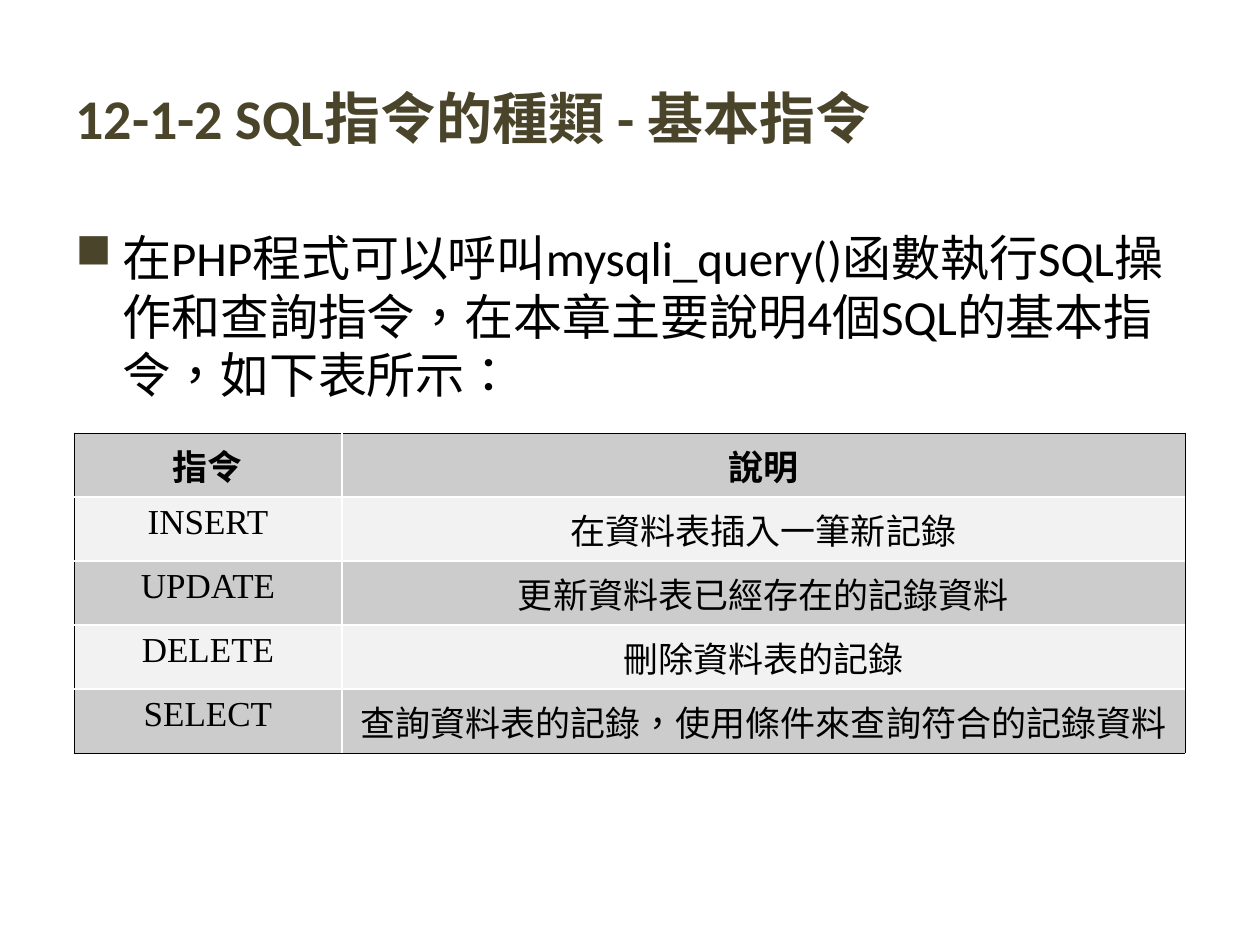
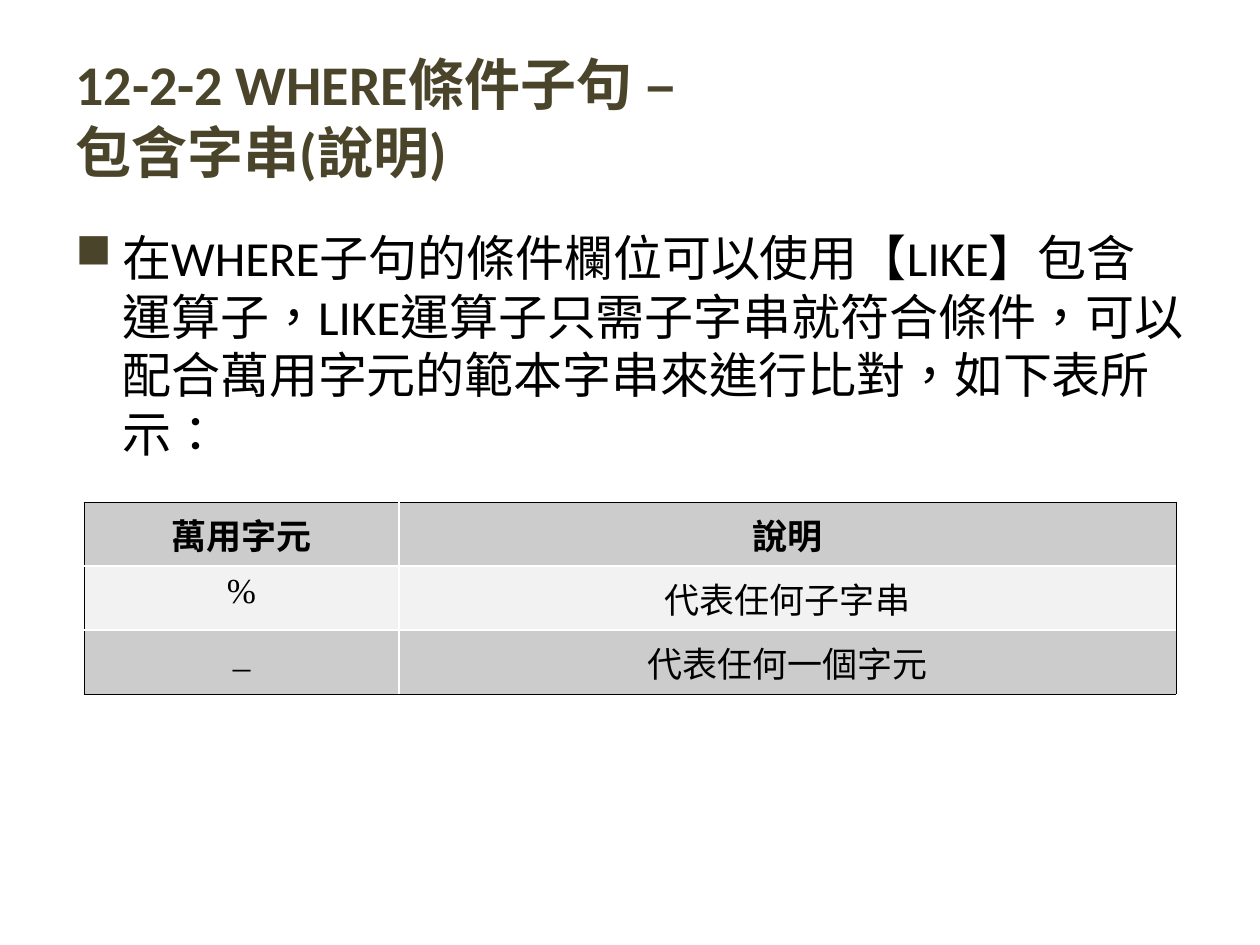
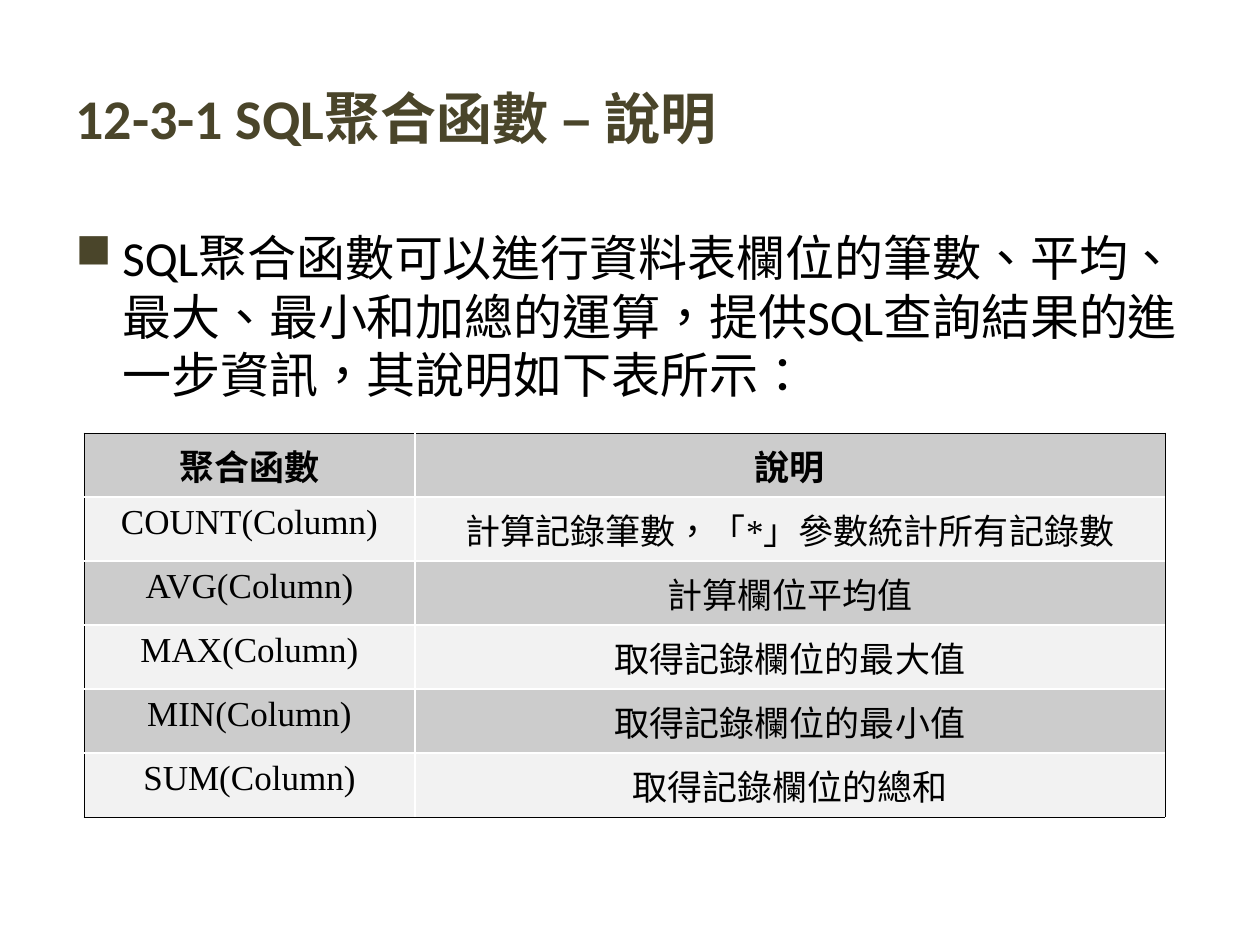
from lxml import etree
from pptx import Presentation
from pptx.dml.color import RGBColor
from pptx.enum.lang import MSO_LANGUAGE_ID
from pptx.enum.text import MSO_ANCHOR, PP_ALIGN
from pptx.oxml.ns import qn
from pptx.util import Emu, Pt

MIDDLE = MSO_ANCHOR.MIDDLE
CENTER = PP_ALIGN.CENTER
CHINESE = MSO_LANGUAGE_ID.TRADITIONAL_CHINESE

PX = 914400 / 126
COLORS = {
    "title": "4A452A",
    "text": "000000",
    "outline": "000000",
    "grid": "FFFFFF",
    "dark row": "CCCCCC",
    "light row": "F2F2F2",
}
BODY_FONT = "Calibri"
TABLE_FONT = "Times New Roman"
TITLE_AREA = (63, 38, 1134, 158)
BODY_AREA = (63, 221, 1134, 624)
BULLET_INDENT = 47
ROW_HEIGHT = 64

SLIDES = [
    {
        "title": "12-1-2 SQL指令的種類 - 基本指令",
        "body": "在PHP程式可以呼叫mysqli_query()函數執行SQL操作和查詢指令，"
                "在本章主要說明4個SQL的基本指令，如下表所示：",
        "corner": (74, 433),
        "columns": (268, 843),
        "rows": [
            ("指令", "說明"),
            ("INSERT", "在資料表插入一筆新記錄"),
            ("UPDATE", "更新資料表已經存在的記錄資料"),
            ("DELETE", "刪除資料表的記錄"),
            ("SELECT", "查詢資料表的記錄，使用條件來查詢符合的記錄資料"),
        ],
    },
    {
        "title": "12-2-2 WHERE條件子句 – \v包含字串(說明)",
        "body": "在WHERE子句的條件欄位可以使用【LIKE】包含運算子，"
                "LIKE運算子只需子字串就符合條件，"
                "可以配合萬用字元的範本字串來進行比對，如下表所示：",
        "corner": (84, 502),
        "columns": (315, 777),
        "rows": [
            ("萬用字元", "說明"),
            ("%", "代表任何子字串"),
            ("_", "代表任何一個字元"),
        ],
    },
    {
        "title": "12-3-1 SQL聚合函數 – 說明",
        "body": "SQL聚合函數可以進行資料表欄位的筆數、平均、最大、最小和加總的運算，"
                "提供SQL查詢結果的進一步資訊，其說明如下表所示：",
        "corner": (84, 433),
        "columns": (331, 750),
        "rows": [
            ("聚合函數", "說明"),
            ("COUNT(Column)", "計算記錄筆數，「*」參數統計所有記錄數"),
            ("AVG(Column)", "計算欄位平均值"),
            ("MAX(Column)", "取得記錄欄位的最大值"),
            ("MIN(Column)", "取得記錄欄位的最小值"),
            ("SUM(Column)", "取得記錄欄位的總和"),
        ],
    },
]


def px(*lengths):
    """Turn pixel lengths into a list of EMU lengths."""
    return [Emu(round(length * PX)) for length in lengths]


def write(frame, text, font, size, color, bold=False):
    """Fill a text frame, format its runs and return its paragraph."""
    frame.word_wrap = True
    frame.text = text
    para = frame.paragraphs[0]
    for span in para.runs:
        span.font.name = font
        span.font.size = Pt(size)
        span.font.bold = bold
        span.font.color.rgb = RGBColor.from_string(COLORS[color])
        span.font.language_id = CHINESE
    return para


deck = Presentation()
deck.slide_width, deck.slide_height = px(1260, 945)

for content in SLIDES:
    page = deck.slides.add_slide(deck.slide_layouts[6])

    title_box = page.shapes.add_textbox(*px(*TITLE_AREA))
    title_box.text_frame.vertical_anchor = MIDDLE
    write(title_box.text_frame, content["title"], BODY_FONT, 32, "title", True)

    body_box = page.shapes.add_textbox(*px(*BODY_AREA))
    para = write(body_box.text_frame, content["body"], BODY_FONT, 28, "text")
    indent, = px(BULLET_INDENT)
    properties = para._p.get_or_add_pPr()
    properties.set("marL", str(indent))
    properties.set("indent", str(-indent))
    bullet_color = etree.SubElement(properties, qn("a:buClr"))
    etree.SubElement(bullet_color, qn("a:srgbClr"), val=COLORS["title"])
    etree.SubElement(properties, qn("a:buChar"), char="■")

    rows, columns = content["rows"], content["columns"]
    last_row, last_column = len(rows) - 1, len(columns) - 1
    table = page.shapes.add_table(
        len(rows), len(columns),
        *px(*content["corner"], sum(columns), ROW_HEIGHT * len(rows))).table
    table.first_row = table.horz_banding = False
    for column, width in zip(table.columns, px(*columns)):
        column.width = width

    for r, row in enumerate(rows):
        table.rows[r].height, = px(ROW_HEIGHT)
        for c, text in enumerate(row):
            cell = table.cell(r, c)
            para = write(cell.text_frame, text, TABLE_FONT, 20, "text", r == 0)
            para.alignment = CENTER
            outer_sides = {"lnL": c == 0, "lnR": c == last_column,
                           "lnT": r == 0, "lnB": r == last_row}
            for side, is_outer in outer_sides.items():
                width = Pt(0.45 if is_outer else 0.96)
                border = etree.SubElement(cell._tc.get_or_add_tcPr(),
                                          qn(f"a:{side}"), w=str(width))
                line_fill = etree.SubElement(border, qn("a:solidFill"))
                etree.SubElement(line_fill, qn("a:srgbClr"),
                                 val=COLORS["outline" if is_outer else "grid"])
            cell.fill.solid()
            cell.fill.fore_color.rgb = RGBColor.from_string(
                COLORS["light row" if r % 2 else "dark row"])

deck.save("out.pptx")
